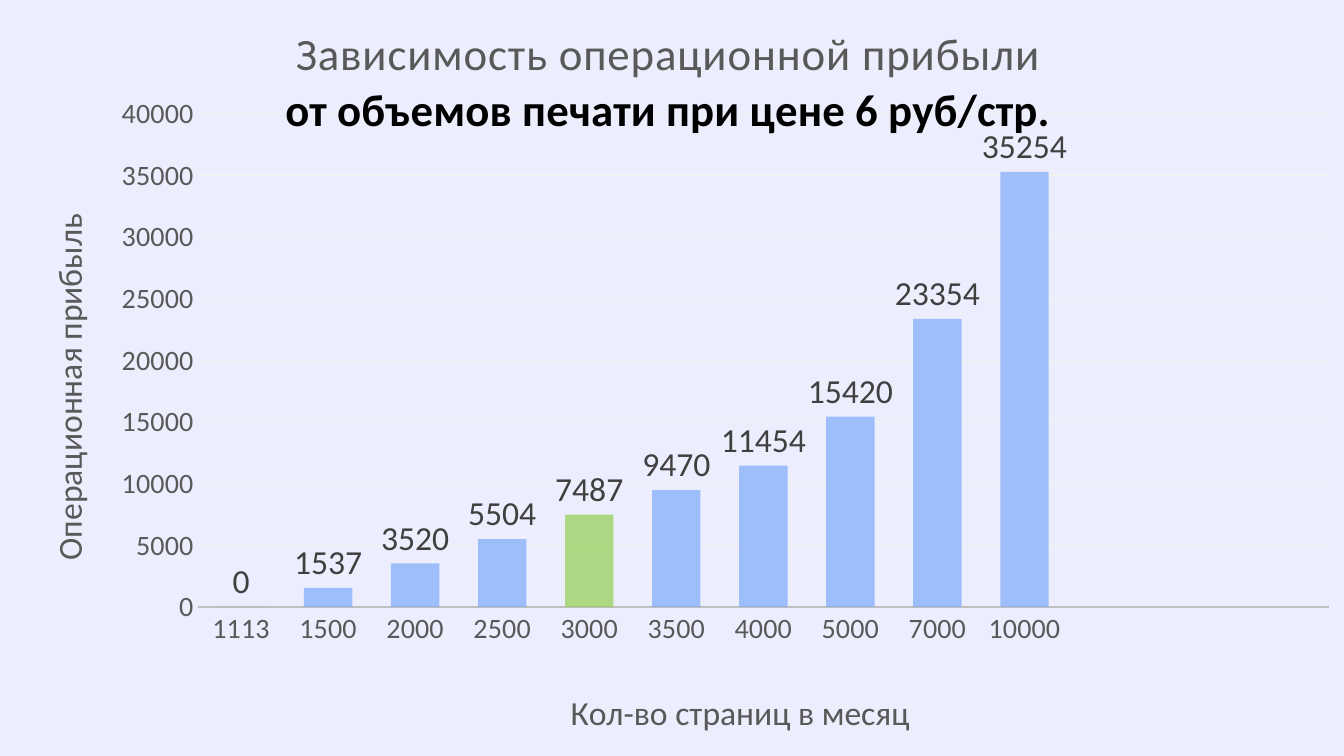
from dataclasses import dataclass

from lxml.etree import SubElement
from pptx import Presentation
from pptx.chart.data import CategoryChartData
from pptx.dml.color import RGBColor
from pptx.enum.chart import XL_CHART_TYPE, XL_LABEL_POSITION, XL_TICK_MARK
from pptx.oxml import parse_xml
from pptx.oxml.ns import nsdecls, qn
from pptx.util import Inches, Pt


@dataclass(frozen=True)
class Theme:
    """Colours, font and type sizes of the slide."""
    font: str = "Calibri"
    back: str = "ECEEFE"
    bar: str = "7EAAFA"
    accent: str = "92D050"
    ink: str = "000000"
    grey: str = "595959"
    label: str = "404040"
    axis: str = "BFBFBF"
    grid: str = "F2F2F2"
    title: int = 32
    body: int = 24
    tick: int = 20


T = Theme()
PROFIT = {
    "1113": 0, "1500": 1537, "2000": 3520, "2500": 5504, "3000": 7487,
    "3500": 9470, "4000": 11454, "5000": 15420, "7000": 23354, "10000": 35254,
}
EMPTY_SLOTS = 3
HIGHLIGHT = "3000"


def set_font(font, size, color, bold=False):
    """Format a font."""
    font.name, font.size, font.bold = T.font, Pt(size), bold
    font.color.rgb = RGBColor.from_string(color)


def write(p, text, size=T.body, color=T.grey, bold=False, spacing=0):
    """Write one formatted run into a paragraph."""
    r = p.add_run()
    r.text = text
    set_font(r.font, size, color, bold)
    if spacing:
        r.font._element.set("spc", str(spacing))


def place(parent, index, **shares):
    """Give a chart part a manual layout in shares of the chart."""
    for old in parent.findall(qn("c:layout")):
        parent.remove(old)
    layout = parse_xml(f"<c:layout {nsdecls('c')}><c:manualLayout/></c:layout>")
    manual = layout[0]
    if "w" in shares:
        SubElement(manual, qn("c:layoutTarget")).set("val", "inner")
    for side in "xy":
        SubElement(manual, qn(f"c:{side}Mode")).set("val", "edge")
    for key, share in shares.items():
        SubElement(manual, qn(f"c:{key}")).set("val", str(share))
    parent.insert(index, layout)


def tint(fill, color, alpha=70):
    """Fill with a partly transparent colour."""
    fill.solid()
    fill.fore_color.rgb = RGBColor.from_string(color)
    for clr in fill._xPr.iter(qn("a:srgbClr")):
        SubElement(clr, qn("a:alpha")).set("val", str(alpha * 1000))


def format_axis(axis, title, x, y, turn=0):
    """Style an axis and place its title."""
    axis.major_tick_mark = axis.minor_tick_mark = XL_TICK_MARK.NONE
    set_font(axis.tick_labels.font, T.tick, T.grey)
    tf = axis.axis_title.text_frame
    write(tf.paragraphs[0], title)
    tf._txBody.bodyPr.set("rot", str(turn * 60000))
    place(axis.axis_title._element, 1, x=x, y=y)


def add_title(chart):
    """Write the two-line chart title over the plot."""
    chart.has_title = True
    tf = chart.chart_title.text_frame
    write(tf.paragraphs[0], "Зависимость операционной прибыли", T.title, spacing=50)
    write(tf.add_paragraph(), "от объемов печати при цене 6 руб/стр.", T.title, T.ink, True)
    chart.chart_title.include_in_layout = False
    place(chart.chart_title._element, 1, x=0.21, y=0.03)


def format_bars(plot):
    """Colour the bars and show their values."""
    plot.gap_width, plot.overlap, plot.vary_by_categories = 80, 25, False
    bars = plot.series[0]
    bars.invert_if_negative = False
    tint(bars.format.fill, T.bar)
    tint(bars.points[list(PROFIT).index(HIGHLIGHT)].format.fill, T.accent)
    labels = bars.data_labels
    labels.show_value = True
    labels.position = XL_LABEL_POSITION.OUTSIDE_END
    set_font(labels.font, T.body, T.label)


def profit_chart(s, left, top, width, height):
    """Add the profit chart in the given box."""
    data = CategoryChartData()
    data.categories = list(PROFIT) + [""] * EMPTY_SLOTS
    data.add_series("Series 1", list(PROFIT.values()) + [None] * EMPTY_SLOTS)
    chart = s.shapes.add_chart(
        XL_CHART_TYPE.COLUMN_CLUSTERED, left, top, width, height, data).chart
    chart.has_legend = False
    set_font(chart.font, T.tick, T.ink)
    add_title(chart)
    format_bars(chart.plots[0])

    pages, profit = chart.category_axis, chart.value_axis
    format_axis(pages, "Кол-во страниц в месяц", 0.42, 0.905)
    format_axis(profit, "Операционная прибыль", 0.03, 0.275, turn=-90)
    pages.format.line.color.rgb = RGBColor.from_string(T.axis)
    pages.format.line.width = Pt(1.25)
    profit.format.line.fill.background()
    profit.minimum_scale, profit.maximum_scale, profit.major_unit = 0, 40000, 5000
    grid = profit.major_gridlines.format.line
    grid.color.rgb = RGBColor.from_string(T.grid)
    grid.width = Pt(0.75)
    place(pages._element.getparent(), 0, x=0.147, y=0.15, w=0.842, h=0.653)


def main():
    """Build and save the slide."""
    prs = Presentation()
    prs.slide_width, prs.slide_height = Inches(13.33), Inches(7.5)
    s = prs.slides.add_slide(prs.slide_layouts[6])
    s.background.fill.solid()
    s.background.fill.fore_color.rgb = RGBColor.from_string(T.back)
    profit_chart(s, 0, 0, prs.slide_width, prs.slide_height)
    prs.save("out.pptx")


if __name__ == "__main__":
    main()
